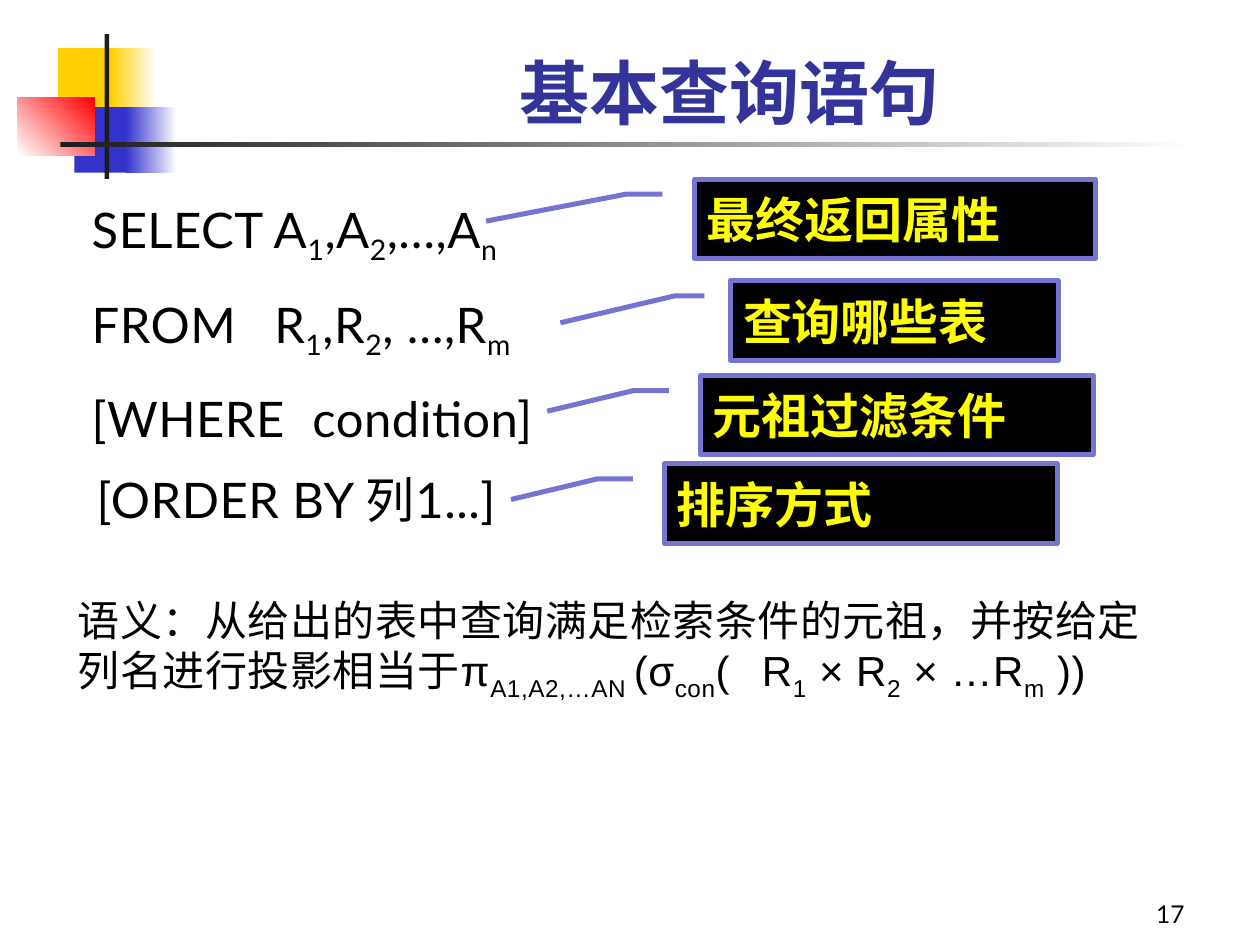
from dataclasses import dataclass
from typing import Any, Optional

from lxml.etree import SubElement
from pptx import Presentation
from pptx.dml.color import RGBColor
from pptx.enum.shapes import MSO_SHAPE as Preset
from pptx.enum.text import MSO_ANCHOR as Anchor, PP_ALIGN as Align
from pptx.oxml.ns import qn
from pptx.util import Cm, Pt

CJK_FONT = "Noto Sans CJK SC"
SUBSCRIPT = "-25000"


@dataclass
class Box:
    left: float
    top: float
    width: float
    height: float

    def lengths(self) -> tuple:
        return Cm(self.left), Cm(self.top), Cm(self.width), Cm(self.height)


@dataclass
class Ornament:
    box: Box
    color: str
    end_color: Optional[str] = None
    angle: int = 0


@dataclass
class Callout:
    text: str
    box: Box
    tip: tuple[float, float]


@dataclass
class Line:
    text: str
    tab: Optional[float] = None


@dataclass
class TextStyle:
    font: dict[str, Any]
    color: str = "000000"
    align: Align = Align.LEFT
    anchor: Anchor = Anchor.TOP
    tracking: int = 0


ORNAMENTS = [
    Ornament(Box(1.17, 0.97, 1.22, 1.32), "FFCF01"),
    Ornament(Box(2.24, 0.97, 0.91, 1.32), "FFCF01", "FFFFFF"),
    Ornament(Box(1.5, 2.16, 1.17, 1.32), "3333CC"),
    Ornament(Box(2.54, 2.16, 1.02, 1.32), "3333CC", "FFFFFF"),
    Ornament(Box(0.36, 1.96, 1.55, 1.17), "FFFFFF", "FF0000", 45),
    Ornament(Box(2.11, 0.69, 0.09, 2.92), "1C1C1C"),
    Ornament(Box(1.22, 2.87, 22.86, 0.09), "1C1C1C", "FFFFFF"),
]
HIGH_TIP = (0.53, -0.52)
LOW_TIP = (0.45, -0.39)
CALLOUTS = [
    Callout("最终返回属性", Box(14, 3.61, 8.08, 1.6), HIGH_TIP),
    Callout("查询哪些表", Box(14.73, 5.66, 6.6, 1.6), HIGH_TIP),
    Callout("元祖过滤条件", Box(14.12, 7.57, 7.92, 1.6), LOW_TIP),
    Callout("排序方式", Box(13.39, 9.35, 7.92, 1.6), LOW_TIP),
]
QUERY = [
    Line("SELECT A|1|,A|2|,…,A|n"),
    Line("FROM\tR|1|,R|2|, …,R|m", 3.68),
    Line("[WHERE\tcondition]", 4.45),
]
MEANING = Line(
    "语义：从给出的表中查询满足检索条件的元祖，并按给定列名进行投影相当于π"
    "|A1,A2,…AN |(σ|con|(\tR|1| × R|2| × …R|m| ))", 13.79)

TITLE_STYLE = TextStyle({"name": CJK_FONT, "size": Pt(40), "bold": True},
                        "333399", Align.CENTER, Anchor.BOTTOM)
CALLOUT_STYLE = TextStyle({"name": CJK_FONT, "size": Pt(28), "bold": True},
                          "FFFF00", anchor=Anchor.MIDDLE)
QUERY_STYLE = TextStyle({"name": "Lato", "size": Pt(28)}, tracking=30)
MEANING_STYLE = TextStyle({"name": "Arial", "size": Pt(24)}, tracking=30)
NUMBER_STYLE = TextStyle({"name": "Lato", "size": Pt(14)},
                         align=Align.RIGHT, anchor=Anchor.BOTTOM)


def rgb(value: str) -> RGBColor:
    return RGBColor.from_string(value)


def add_run(paragraph: Any, text: str, style: TextStyle, lowered: bool) -> None:
    run = paragraph.add_run()
    run.text = text
    for name, value in style.font.items():
        setattr(run.font, name, value)
    run.font.color.rgb = rgb(style.color)
    properties = run._r.get_or_add_rPr()
    SubElement(properties, qn("a:ea"), typeface=style.font["name"])
    if style.tracking:
        properties.set("spc", str(style.tracking))
    if lowered:
        properties.set("baseline", SUBSCRIPT)


def write_lines(shape: Any, lines: list[Line], style: TextStyle) -> None:
    frame = shape.text_frame
    frame.word_wrap = True
    frame.vertical_anchor = style.anchor
    for index, line in enumerate(lines):
        paragraph = frame.add_paragraph() if index else frame.paragraphs[0]
        paragraph.alignment = style.align
        if index:
            paragraph.space_before = Pt(16)
        if line.tab:
            tabs = SubElement(paragraph._p.get_or_add_pPr(), qn("a:tabLst"))
            SubElement(tabs, qn("a:tab"), pos=str(Cm(line.tab)), algn="l")
        for position, text in enumerate(line.text.split("|")):
            add_run(paragraph, text, style, position % 2 == 1)


def add_text(slide: Any, box: Box, lines: list[Line], style: TextStyle) -> None:
    write_lines(slide.shapes.add_textbox(*box.lengths()), lines, style)


def add_ornament(slide: Any, ornament: Ornament) -> None:
    shape = slide.shapes.add_shape(Preset.RECTANGLE, *ornament.box.lengths())
    shape.shadow.inherit = False
    shape.line.fill.background()
    if ornament.end_color is None:
        shape.fill.solid()
        shape.fill.fore_color.rgb = rgb(ornament.color)
        return
    shape.fill.gradient()
    shape.fill.gradient_angle = ornament.angle
    colors = (ornament.color, ornament.end_color)
    for position, (stop, color) in enumerate(zip(shape.fill.gradient_stops, colors)):
        stop.position = position
        stop.color.rgb = rgb(color)


def add_callout(slide: Any, callout: Callout) -> None:
    shape = slide.shapes.add_shape(Preset.LINE_CALLOUT_2, *callout.box.lengths())
    shape.shadow.inherit = False
    shape.fill.solid()
    shape.fill.fore_color.rgb = rgb("000000")
    shape.line.color.rgb = rgb("7575D1")
    shape.line.width = Pt(2.85)
    for index, value in enumerate((0.19, -0.08, 0.19, -0.17, *callout.tip)):
        shape.adjustments[index] = value
    write_lines(shape, [Line(callout.text)], CALLOUT_STYLE)


def main() -> None:
    presentation = Presentation()
    presentation.slide_width = Cm(25.4)
    presentation.slide_height = Cm(19.05)
    slide = presentation.slides.add_slide(presentation.slide_layouts[6])
    for ornament in ORNAMENTS:
        add_ornament(slide, ornament)
    add_text(slide, Box(4.83, 0.46, 19.74, 2.36), [Line("基本查询语句")], TITLE_STYLE)
    for callout in CALLOUTS:
        add_callout(slide, callout)
    add_text(slide, Box(1.32, 11.86, 22.73, 3.33), [MEANING], MEANING_STYLE)
    add_text(slide, Box(1.7, 9.35, 9.19, 1.45), [Line("[ORDER BY 列1...]")], QUERY_STYLE)
    add_text(slide, Box(18.85, 17.58, 5.28, 1.27), [Line("17")], NUMBER_STYLE)
    add_text(slide, Box(1.6, 3.89, 11.18, 6.76), QUERY, QUERY_STYLE)
    presentation.save("out.pptx")


if __name__ == "__main__":
    main()
